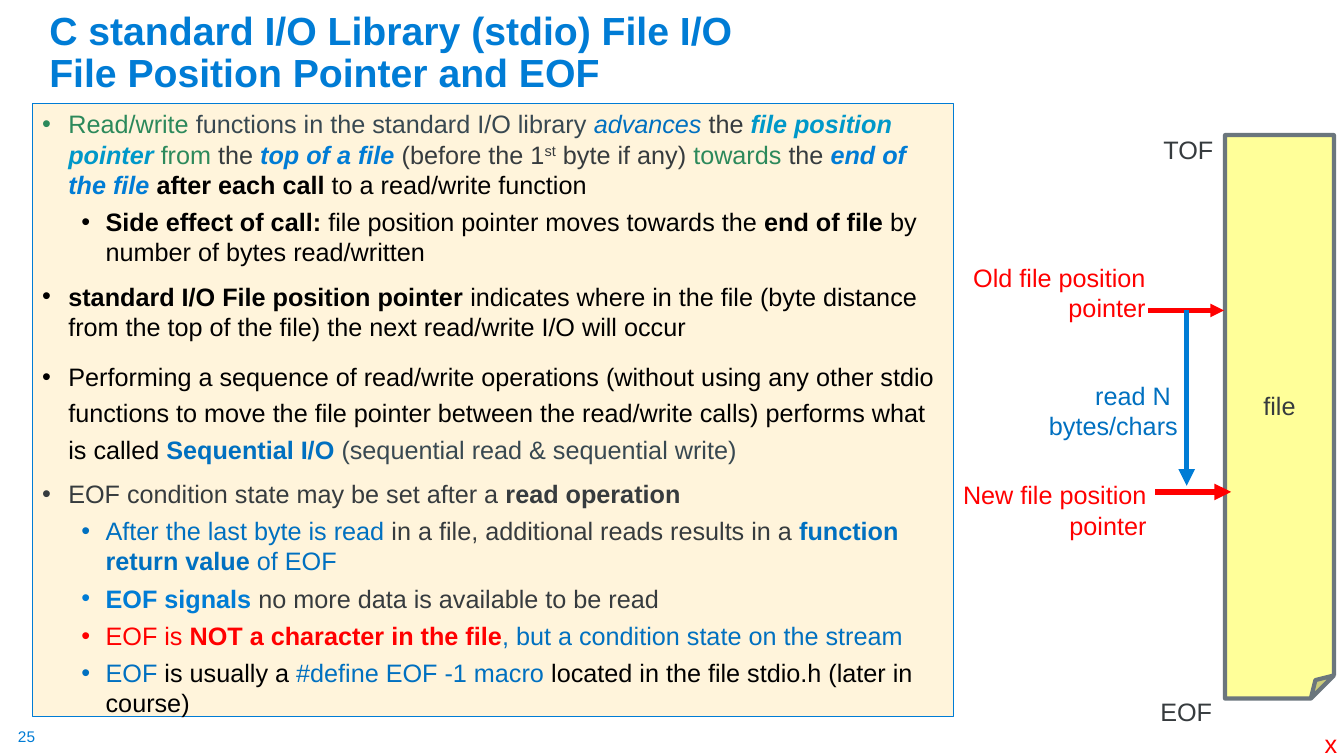
"""Build the slide on the file position pointer and EOF in C standard I/O."""
from lxml.etree import SubElement
from pptx import Presentation
from pptx.dml.color import RGBColor
from pptx.enum.shapes import MSO_CONNECTOR, MSO_SHAPE
from pptx.enum.text import MSO_ANCHOR, PP_ALIGN
from pptx.oxml.ns import qn
from pptx.util import Inches, Pt

CELL = Inches(0.1)
BLUE, DEEP, CYAN, GREEN = "007CD5", "0070C0", "0098C9", "2C895B"
RED, BLACK, GRAY, SLATE = "FF0000", "000000", "363B3E", "384851"


def rgb(code):
    """Turn a hex string into a colour."""
    return RGBColor.from_string(code)


def write(paragraph, text, size=18, color=GRAY, bold=False, italic=False, raised=False):
    """Add text to a paragraph, with line breaks at newlines."""
    for index, piece in enumerate(text.split("\n")):
        if index:
            paragraph.add_line_break()
        run = paragraph.add_run()
        run.text = piece
        run.font.name, run.font.size = "Arial", Pt(size)
        run.font.bold, run.font.italic = bold, italic
        run.font.color.rgb = rgb(color)
        if raised:
            run._r.get_or_add_rPr().set("baseline", "30000")


deck = Presentation()
deck.slide_width, deck.slide_height = Inches(13.33), Inches(7.5)
slide = deck.slides.add_slide(deck.slide_layouts[6])
shapes = slide.shapes

blocks = []
for kind, place, fill, edge, weight in [
    (MSO_SHAPE.RECTANGLE, (3.2, 10.3, 91.4, 60.8), "FFF4DB", BLUE, 0.75),
    (MSO_SHAPE.FOLDED_CORNER, (121.5, 13.4, 10.8, 55.9), "FFFF99", "6B767D", 3),
]:
    block = shapes.add_shape(kind, *[int(cells * CELL) for cells in place])
    block.shadow.inherit = False
    block.fill.solid()
    block.fill.fore_color.rgb = rgb(fill)
    block.line.color.rgb = rgb(edge)
    block.line.width = Pt(weight)
    blocks.append(block)
notes_panel, file_sheet = blocks

fold = file_sheet._element.spPr.find(qn("a:prstGeom")).get_or_add_avLst()
SubElement(fold, qn("a:gd"), name="adj", fmla="val 21200")
file_sheet.text_frame.word_wrap = False
file_sheet.text_frame.vertical_anchor = MSO_ANCHOR.MIDDLE
file_label = file_sheet.text_frame.paragraphs[0]
file_label.alignment = PP_ALIGN.CENTER
write(file_label, "file")

strong, slanted, both = {"bold": True}, {"italic": True}, {"bold": True, "italic": True}
points = [
    (0, 1, [
        ("Read/write ", GREEN, {}),
        ("functions in the standard I/O library ", SLATE, {}),
        ("advances ", DEEP, slanted),
        ("the ", GRAY, {}),
        ("file position pointer ", CYAN, both),
        ("from", GREEN, {}),
        (" the ", GRAY, {}),
        ("top of a file ", BLUE, both),
        ("(before the 1", GRAY, {}),
        ("st", GRAY, {"raised": True}),
        (" byte if any) ", GRAY, {}),
        ("towards", GREEN, {}),
        (" the ", GRAY, {}),
        ("end of the file ", BLUE, both),
        ("after each call ", BLACK, strong),
        ("to a read/write function", BLACK, {}),
    ]),
    (1, 1, [
        ("Side effect of call: ", BLACK, strong),
        ("file position pointer moves towards the ", BLACK, {}),
        ("end of file", BLACK, strong),
        (" by number of bytes read/written", BLACK, {}),
    ]),
    (0, 1, [
        ("standard I/O File position pointer ", BLACK, strong),
        ("indicates where in the file (byte distance from the top of the file) "
         "the next read/write I/O will occur", BLACK, {}),
    ]),
    (0, 1.2, [
        ("Performing a sequence of read/write operations (without using any other stdio "
         "functions to move the file pointer between the read/write calls) performs "
         "what is called ", BLACK, {}),
        ("Sequential I/O ", DEEP, strong),
        ("(sequential read & sequential write)", SLATE, {}),
    ]),
    (0, 1, [
        ("EOF condition state may be set after a ", GRAY, {}),
        ("read operation", GRAY, strong),
    ]),
    (1, 1, [
        ("After the last byte is read ", DEEP, {}),
        ("in a file, additional reads results in a ", GRAY, {}),
        ("function return value ", DEEP, strong),
        ("of EOF", DEEP, {}),
    ]),
    (1, 1, [
        ("EOF signals ", BLUE, strong),
        ("no more data is available to be read", GRAY, {}),
    ]),
    (1, 1, [
        ("EOF is ", RED, {}),
        ("NOT a character in the file", RED, strong),
        (", but a condition state on the stream", DEEP, {}),
    ]),
    (1, 1, [
        ("EOF ", DEEP, {}),
        ("is usually a ", BLACK, {}),
        ("#define EOF -1 macro ", DEEP, {}),
        ("located in the file stdio.h (later in course)", BLACK, {}),
    ]),
]
notes_panel.text_frame.word_wrap = True
notes_panel.text_frame.vertical_anchor = MSO_ANCHOR.TOP
for number, (level, spacing, pieces) in enumerate(points):
    point = notes_panel.text_frame.paragraphs[0] if number == 0 else notes_panel.text_frame.add_paragraph()
    point.level = level
    point.alignment = PP_ALIGN.LEFT
    point.line_spacing = spacing
    point.space_before = Pt((10, 5)[level] if number else 0)
    layout = point._p.get_or_add_pPr()
    layout.set("marL", str(Inches((0.26, 0.63)[level])))
    layout.set("indent", str(Inches((-0.26, -0.24)[level])))
    SubElement(layout, qn("a:buFont"), typeface="Arial")
    SubElement(layout, qn("a:buChar"), char="•")
    for text, color, style in pieces:
        write(point, text, color=color, **style)

for start, end, color, weight in [
    ((113.9, 30.8), (121.4, 30.8), RED, 3.25),
    ((114.6, 48.8), (122.1, 48.8), RED, 4),
    ((117.7, 30.8), (117.7, 48.2), BLUE, 4),
]:
    arrow = shapes.add_connector(MSO_CONNECTOR.STRAIGHT, *[int(cells * CELL) for cells in start + end])
    arrow.line.color.rgb = rgb(color)
    arrow.line.width = Pt(weight)
    outline = arrow._element.spPr.find(qn("a:ln"))
    SubElement(outline, qn("a:tailEnd"), type="triangle")
    SubElement(arrow._element.spPr, qn("a:effectLst"))

left, right = PP_ALIGN.LEFT, PP_ALIGN.RIGHT
for place, lines, align, wrap, style in [
    ((3.9, 0.6, 121.8, 9.4), ["C standard I/O Library (stdio) File I/O\nFile Position Pointer and EOF"],
     left, True, {"size": 28, "color": BLUE, "bold": True}),
    ((94.8, 25.5, 19.8, 7.1), ["Old file position pointer"], right, True, {"color": RED}),
    ((91.1, 47.1, 23.6, 7.1), ["New file position pointer"], right, True, {"color": RED}),
    ((102.9, 37.2, 14.9, 7.1), ["read N ", "bytes/chars"], right, False, {"color": DEEP}),
    ((114.4, 12.8, 7.5, 4), ["TOF"], left, True, {}),
    ((114.1, 68.6, 7.5, 4), ["EOF"], left, True, {}),
    ((130.4, 71.8, 3.3, 4), ["x"], left, False, {"color": RED}),
    ((0.8, 71.6, 4, 2.9), ["25"], left, False, {"size": 11, "color": BLUE}),
]:
    label = shapes.add_textbox(*[int(cells * CELL) for cells in place]).text_frame
    label.word_wrap = wrap
    label.vertical_anchor = MSO_ANCHOR.BOTTOM if "bold" in style else MSO_ANCHOR.TOP
    for number, line in enumerate(lines):
        paragraph = label.paragraphs[0] if number == 0 else label.add_paragraph()
        paragraph.alignment = align
        paragraph.line_spacing = 0.9 if "bold" in style else 1
        write(paragraph, line, **style)

deck.save("out.pptx")
